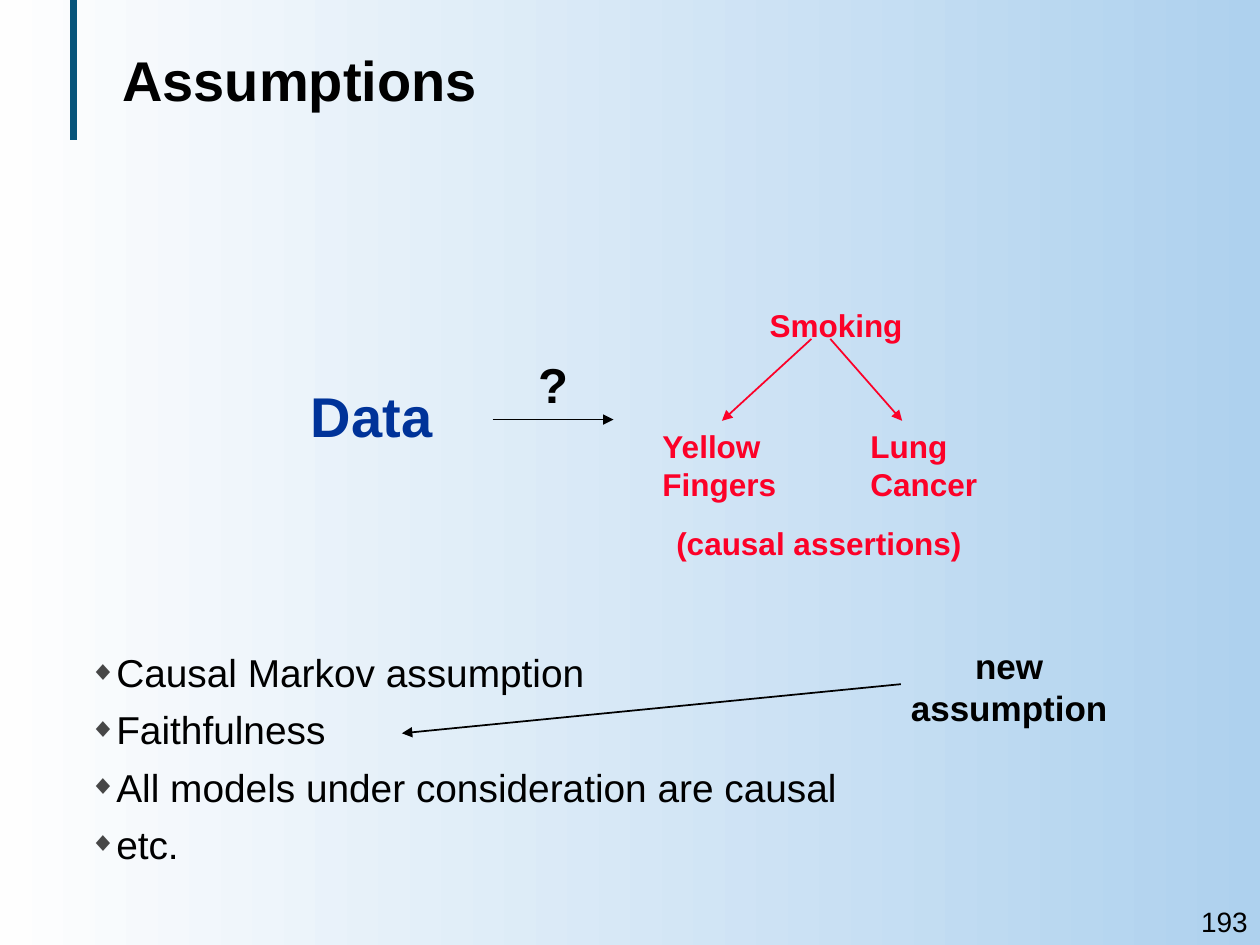
import pptx
import pptx.util
import pptx.dml.color
import pptx.enum.shapes
import pptx.enum.text
import pptx.oxml.ns
from lxml import etree

Inches = pptx.util.Inches
Pt = pptx.util.Pt
RGBColor = pptx.dml.color.RGBColor
ALIGN = pptx.enum.text.PP_ALIGN
ANCHOR = pptx.enum.text.MSO_ANCHOR
AUTO = pptx.enum.text.MSO_AUTO_SIZE
qn = pptx.oxml.ns.qn

BLACK = RGBColor(0x00, 0x00, 0x00)
RED = RGBColor(0xFC, 0x01, 0x28)
BLUE = RGBColor(0x00, 0x33, 0x99)
TEAL = RGBColor(0x07, 0x54, 0x7A)
SKY = RGBColor(0xAE, 0xD1, 0xEE)
WHITE = RGBColor(0xFE, 0xFE, 0xFE)
BULLET_GREY = RGBColor(0x47, 0x47, 0x47)


def set_background(s):
    fill = s.background.fill
    fill.gradient()
    fill.gradient_angle = 180
    for stop, color in zip(fill.gradient_stops, (SKY, WHITE)):
        stop.color.rgb = color


def place(sp, box):
    for name, value in zip(("left", "top", "width", "height"), box):
        setattr(sp, name, Inches(value))


def write(tf, lines, size, color=BLACK, bold=True, align=ALIGN.LEFT):
    formats = {"name": "Arial", "size": Pt(size), "bold": bold}
    for i, line in enumerate(lines):
        p = tf.paragraphs[0] if i == 0 else tf.add_paragraph()
        p.alignment = align
        p.space_before = Pt(0)
        r = p.add_run()
        r.text = line
        for name, value in formats.items():
            setattr(r.font, name, value)
        r.font.color.rgb = color


def add_label(s, box, lines, size, color=BLACK, bold=True, align=ALIGN.CENTER,
              anchor=ANCHOR.MIDDLE, wrap=False):
    tf = s.shapes.add_textbox(*map(Inches, box)).text_frame
    formats = {"word_wrap": wrap, "vertical_anchor": anchor,
               "auto_size": AUTO.SHAPE_TO_FIT_TEXT}
    for name, value in formats.items():
        setattr(tf, name, value)
    write(tf, lines, size, color, bold, align)


def add_line(s, start, end, color=BLACK, width=1, arrow=True):
    line = s.shapes.add_connector(pptx.enum.shapes.MSO_CONNECTOR.STRAIGHT,
                                  *map(Inches, start + end))
    line.line.color.rgb = color
    line.line.width = Pt(width)
    if arrow:
        etree.SubElement(line.line._get_or_add_ln(), qn("a:tailEnd"), type="triangle")
    etree.SubElement(line._element.spPr, qn("a:effectLst"))


def add_title(s, text):
    sp = s.shapes.title
    place(sp, (0.87, 0, 7.83, 1.25))
    sp.text_frame.vertical_anchor = ANCHOR.MIDDLE
    sp.text_frame.auto_size = AUTO.NONE
    write(sp.text_frame, [text], 32)


def add_bullet(p):
    pPr = p._p.get_or_add_pPr()
    pPr.set("marL", str(Inches(0.19)))
    pPr.set("indent", str(-Inches(0.19)))
    color = etree.SubElement(pPr, qn("a:buClr"))
    etree.SubElement(color, qn("a:srgbClr"), val=str(BULLET_GREY))
    etree.SubElement(pPr, qn("a:buSzPct"), val="70000")
    etree.SubElement(pPr, qn("a:buChar"), char="◆")


def add_list(s, items):
    sp = s.placeholders[1]
    place(sp, (0.61, 5.1, 7.76, 1.79))
    tf = sp.text_frame
    tf.auto_size = AUTO.NONE
    write(tf, items, 22.2, bold=False)
    for i, p in enumerate(tf.paragraphs):
        add_bullet(p)
        p.space_before = Pt(6 if i else 0)


def add_causal_graph(s):
    add_line(s, (6.59, 2.69), (7.16, 3.34), RED)
    add_line(s, (6.44, 2.69), (5.73, 3.34), RED)
    nodes = [
        ((6.01, 2.38, 1.27, 0.4), ["Smoking"]),
        ((5.16, 3.34, 1.1, 0.7), ["Yellow", "Fingers"]),
        ((6.81, 3.34, 1.05, 0.7), ["Lung", "Cancer"]),
    ]
    for box, lines in nodes:
        add_label(s, box, lines, 18, RED, align=ALIGN.LEFT, anchor=ANCHOR.TOP)
    add_label(s, (5.01, 4.11, 2.98, 0.4), ["(causal assertions)"], 18, RED, wrap=True)


def main():
    prs = pptx.Presentation()
    prs.slide_width, prs.slide_height = Inches(10), Inches(7.5)
    s = prs.slides.add_slide(prs.slide_layouts[1])
    set_background(s)
    add_line(s, (0.58, 0), (0.58, 1.11), TEAL, 4, arrow=False)
    add_title(s, "Assumptions")
    add_list(s, ["Causal Markov assumption", "Faithfulness",
                 "All models under consideration are causal", "etc."])
    add_causal_graph(s)
    add_label(s, (1.94, 2.98, 2.02, 0.63), ["Data"], 32, BLUE, wrap=True)
    add_line(s, (3.91, 3.33), (4.87, 3.33))
    add_label(s, (4.17, 2.76, 0.44, 0.57), ["?"], 28)
    add_label(s, (7.13, 5.06, 1.76, 0.77), ["new", "assumption"], 20)
    add_line(s, (7.15, 5.43), (3.19, 5.82))
    add_label(s, (8.99, 7.13, 1.01, 0.37), ["193"], 16, bold=False,
              align=ALIGN.RIGHT, wrap=True)
    prs.save("out.pptx")


if __name__ == "__main__":
    main()
